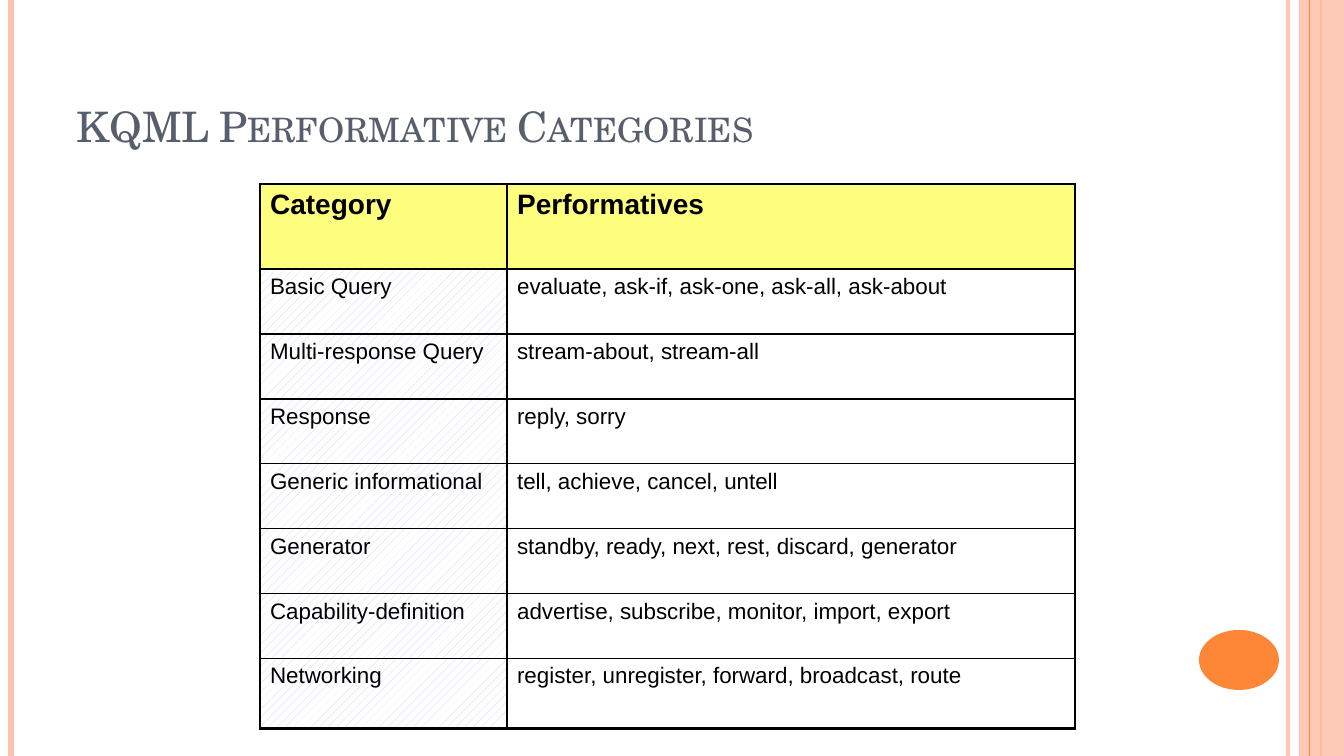
from dataclasses import dataclass

from lxml.etree import SubElement
from pptx import Presentation
from pptx.dml.color import RGBColor as Color
from pptx.enum.dml import MSO_PATTERN as Pattern
from pptx.enum.shapes import MSO_CONNECTOR as Connector, MSO_SHAPE as Shape
from pptx.enum.text import MSO_ANCHOR as Anchor
from pptx.oxml import parse_xml
from pptx.oxml.ns import nsdecls, qn
from pptx.util import Emu, Pt

# Content
TITLE = "KQML Performative Categories"
ROWS = [
    ("Category", "Performatives"),
    ("Basic Query", "evaluate, ask-if, ask-one, ask-all, ask-about"),
    ("Multi-response Query", "stream-about, stream-all"),
    ("Response", "reply, sorry"),
    ("Generic informational", "tell, achieve, cancel, untell"),
    ("Generator", "standby, ready, next, rest, discard, generator"),
    ("Capability-definition", "advertise, subscribe, monitor, import, export"),
    ("Networking", "register, unregister, forward, broadcast, route"),
]


@dataclass(frozen=True)
class Theme:
    title_font: str = "TeX Gyre Schola"
    table_font: str = "Arial"
    title_size: int = 30
    header_size: int = 20
    body_size: int = 16
    outer_border: float = 2.25
    inner_border: float = 1
    title: str = "575F6D"
    ink: str = "000000"
    peach: str = "FEC3AE"
    orange: str = "FE8637"
    header: str = "FFFF00"
    hatch: str = "CCCCFF"
    paper: str = "FFFFFF"


THEME = Theme()

# Geometry in px
PAGE_WIDTH, PAGE_HEIGHT = 1344, 756
TITLE_BOX = (67, 30, 1098, 126)
BAND = (1299, 0, 45, PAGE_HEIGHT)
DOT = (1199, 630, 80, 60)
TABLE_LEFT, TABLE_TOP = 260, 184
COLUMN_WIDTHS = [247, 568]
ROW_HEIGHTS = [85] + [65] * 6 + [70]


def px(length):
    return Emu(round(length * 914400 / 100.8))


def rgb(value):
    return Color.from_string(value)


def set_opacity(fill_parent, percent):
    for color in fill_parent.iter(qn("a:srgbClr")):
        SubElement(color, qn("a:alpha"), val=str(percent * 1000))


def add_stripe(page, x, color, width, opacity=100):
    stripe = page.shapes.add_connector(Connector.STRAIGHT, px(x), 0, px(x), px(PAGE_HEIGHT))
    stripe.line.color.rgb = rgb(color)
    stripe.line.width = Pt(width)
    properties = stripe.element.spPr
    SubElement(properties, qn("a:effectLst"))
    if opacity < 100:
        set_opacity(properties, opacity)


def add_solid(page, kind, place, color, opacity=100):
    solid = page.shapes.add_shape(kind, *map(px, place))
    solid.shadow.inherit = False
    solid.fill.solid()
    solid.fill.fore_color.rgb = rgb(color)
    solid.line.fill.background()
    if opacity < 100:
        set_opacity(solid.element.spPr, opacity)


def add_title(page):
    box = page.shapes.add_textbox(*map(px, TITLE_BOX))
    frame = box.text_frame
    frame.word_wrap = True
    frame.vertical_anchor = Anchor.BOTTOM
    para = frame.paragraphs[0]
    span = para.add_run()
    span.text = TITLE
    span.font.name = THEME.title_font
    span.font.size = Pt(THEME.title_size)
    span.font.color.rgb = rgb(THEME.title)
    span.font._element.set("cap", "small")


def set_borders(cell, outer_sides):
    properties = cell._tc.get_or_add_tcPr()
    for index, side in enumerate("LRTB"):
        width = THEME.outer_border if side in outer_sides else THEME.inner_border
        properties.insert(index, parse_xml(
            f'<a:ln{side} {nsdecls("a")} w="{Pt(width)}"><a:solidFill>'
            f'<a:srgbClr val="{THEME.ink}"/></a:solidFill></a:ln{side}>'))


def fill_cell(cell, is_header, is_category):
    if is_header:
        cell.fill.solid()
        cell.fill.fore_color.rgb = rgb(THEME.header)
        set_opacity(cell._tc.tcPr, 50)
    elif is_category:
        cell.fill.patterned()
        cell.fill.pattern = Pattern.PERCENT_20
        cell.fill.fore_color.rgb = rgb(THEME.hatch)
        cell.fill.back_color.rgb = rgb(THEME.paper)
    else:
        cell.fill.background()


def add_performatives(page):
    table = page.shapes.add_table(
        len(ROWS), len(COLUMN_WIDTHS), px(TABLE_LEFT), px(TABLE_TOP),
        px(sum(COLUMN_WIDTHS)), px(sum(ROW_HEIGHTS))).table
    for column, width in zip(table.columns, COLUMN_WIDTHS):
        column.width = px(width)
    for row, height in zip(table.rows, ROW_HEIGHTS):
        row.height = px(height)

    for r, texts in enumerate(ROWS):
        for c, text in enumerate(texts):
            cell = table.cell(r, c)
            cell.text = text
            is_header = r == 0
            font = cell.text_frame.paragraphs[0].font
            font.name = THEME.table_font
            font.size = Pt(THEME.header_size if is_header else THEME.body_size)
            font.bold = is_header
            font.color.rgb = rgb(THEME.ink)
            fill_cell(cell, is_header, c == 0)
            outer_sides = "L" if c == 0 else "R"
            if is_header:
                outer_sides += "T"
            if r == len(ROWS) - 1:
                outer_sides += "B"
            set_borders(cell, outer_sides)


def main():
    deck = Presentation()
    deck.slide_width, deck.slide_height = px(PAGE_WIDTH), px(PAGE_HEIGHT)
    page = deck.slides.add_slide(deck.slide_layouts[6])

    # Side decoration, back to front
    add_stripe(page, 1288, THEME.peach, 3, opacity=93)
    add_stripe(page, 11, THEME.peach, 4.5)
    add_stripe(page, 1321, THEME.orange, 1.5)
    add_solid(page, Shape.RECTANGLE, BAND, THEME.peach, opacity=87)
    add_stripe(page, 1310, THEME.orange, 0.75)
    add_solid(page, Shape.OVAL, DOT, THEME.orange)

    # Title and table
    add_title(page)
    add_performatives(page)
    deck.save("out.pptx")


if __name__ == "__main__":
    main()
